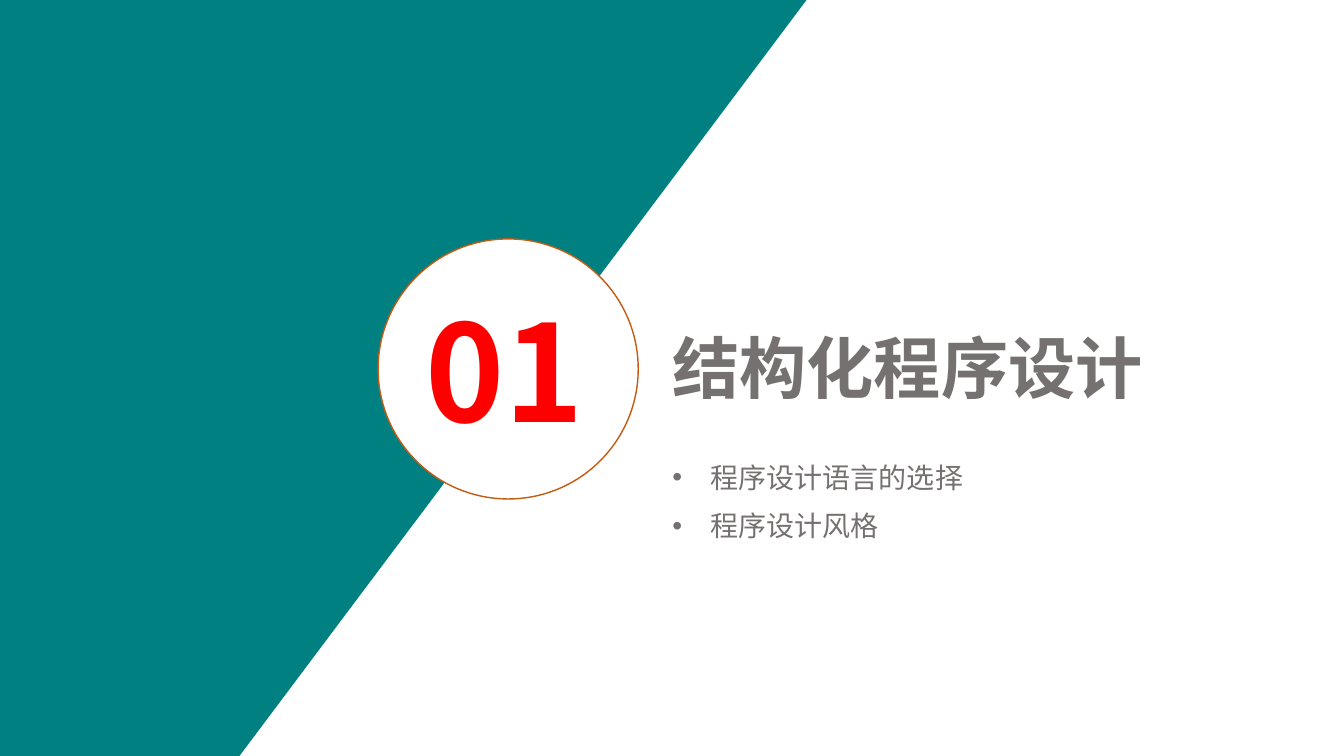
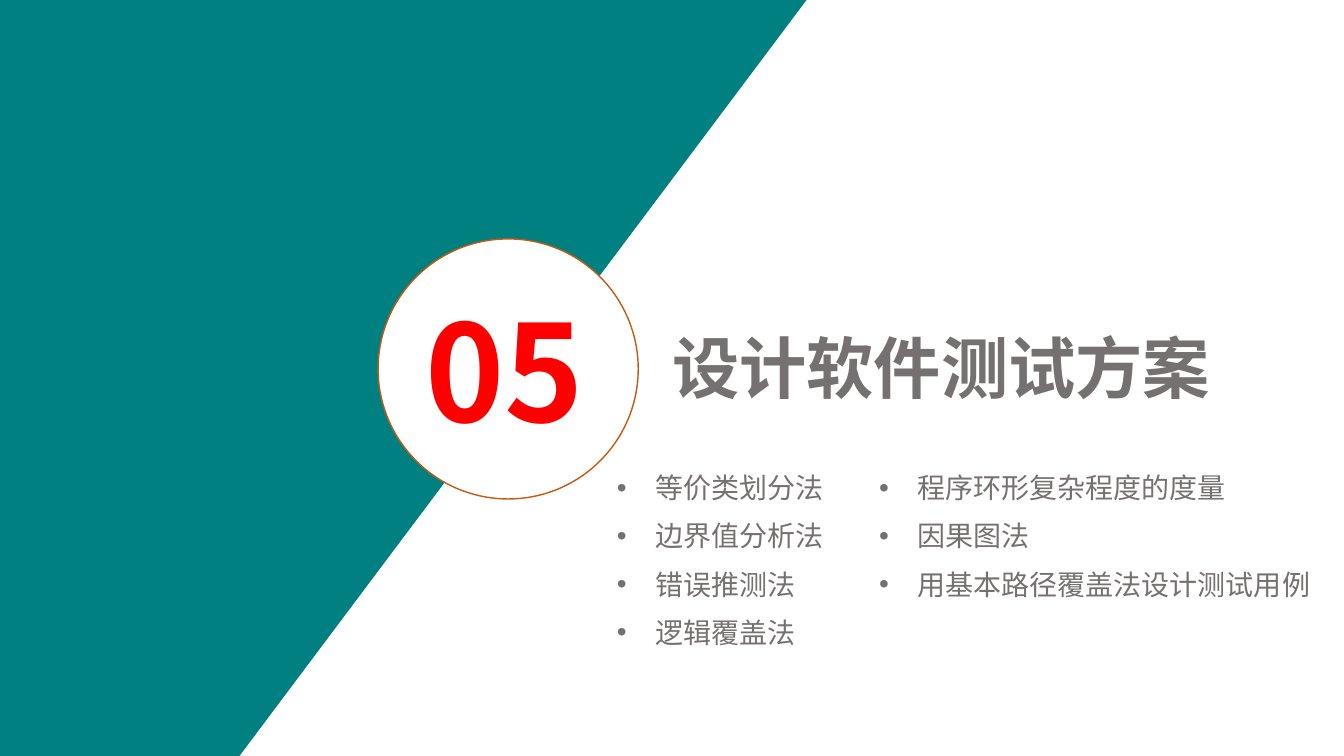
import pptx
import pptx.dml.color
import pptx.enum.shapes
import pptx.enum.text
import pptx.oxml.ns
import pptx.util
from dataclasses import dataclass
from lxml import etree

Inches = pptx.util.Inches
Pt = pptx.util.Pt


@dataclass(frozen=True)
class Theme:
    teal: str = "008080"
    white: str = "FFFFFF"
    rust: str = "C55A11"
    red: str = "FF0000"
    gray: str = "767171"
    font: str = "Noto Sans CJK SC"
    huge: int = 96
    head: int = 48
    body: int = 20
    gap: float = 10.5
    indent: float = 0.38


def color(code):
    return pptx.dml.color.RGBColor.from_string(code)


class Deck:
    def __init__(self, theme):
        self.theme = theme
        self.file = pptx.Presentation()
        self.file.slide_width = Inches(13.33)
        self.file.slide_height = Inches(7.5)
        self.slide = None

    # Slide with the slanted teal band
    def page(self):
        self.slide = self.file.slides.add_slide(self.file.slide_layouts[6])
        form = self.slide.shapes.build_freeform(0, 0, scale=Inches(1))
        form.add_line_segments([(7.93, 0), (2.38, 7.5), (0, 7.5)], close=True)
        self.paint(form.convert_to_shape(), self.theme.teal)

    def paint(self, shape, fill, line=None):
        shape.shadow.inherit = False
        shape.fill.solid()
        shape.fill.fore_color.rgb = color(fill)
        if line:
            shape.line.color.rgb = color(line)
            shape.line.width = Pt(1)
        else:
            shape.line.fill.background()

    # Text box with one paragraph per line
    def text(self, lines, box, size, ink, bold=False, bullet=False):
        frame = self.slide.shapes.add_textbox(*map(Inches, box)).text_frame
        frame.word_wrap = True
        frame.auto_size = pptx.enum.text.MSO_AUTO_SIZE.SHAPE_TO_FIT_TEXT
        style = {"name": self.theme.font, "size": Pt(size), "bold": bold}
        for row, line in enumerate(lines):
            para = frame.add_paragraph() if row else frame.paragraphs[0]
            if row:
                para.space_before = Pt(self.theme.gap)
            if bullet:
                self.mark(para)
            run = para.add_run()
            run.text = line
            for key, value in style.items():
                setattr(run.font, key, value)
            run.font.color.rgb = color(ink)
            latin = run.font._element.find(pptx.oxml.ns.qn("a:latin"))
            east = etree.Element(pptx.oxml.ns.qn("a:ea"), typeface=self.theme.font)
            latin.addnext(east)

    # Hanging bullet
    def mark(self, para):
        props = para._p.get_or_add_pPr()
        indent = Inches(self.theme.indent)
        props.set("marL", str(indent))
        props.set("indent", str(-indent))
        for tag, key, value in (("a:buFont", "typeface", "Arial"),
                                ("a:buChar", "char", "•")):
            etree.SubElement(props, pptx.oxml.ns.qn(tag)).set(key, value)

    # Number in its circle
    def badge(self, number):
        oval = self.slide.shapes.add_shape(
            pptx.enum.shapes.MSO_SHAPE.OVAL,
            *map(Inches, (3.75, 2.37, 2.58, 2.58)))
        self.paint(oval, self.theme.white, self.theme.rust)
        self.text([number], (4.12, 2.81, 1.9, 1.81),
                  self.theme.huge, self.theme.red, bold=True)

    def title(self, words):
        self.text([words], (6.57, 3.19, 5.62, 0.96),
                  self.theme.head, self.theme.gray, bold=True)

    def list(self, items, left, top, width):
        self.text(items, (left, top, width, 0.55 * len(items)),
                  self.theme.body, self.theme.gray, bullet=True)


# Number, title, then lists as (left, top, width, items)
PARTS = [
    ("01", "结构化程序设计", [
        (6.57, 4.52, 4.06, ["程序设计语言的选择", "程序设计风格"]),
    ]),
    ("05", "设计软件测试方案", [
        (6.02, 4.62, 2.6, ["等价类划分法", "边界值分析法",
                           "错误推测法", "逻辑覆盖法"]),
        (8.62, 4.62, 4.58, ["程序环形复杂程度的度量", "因果图法",
                            "用基本路径覆盖法设计测试用例"]),
    ]),
]


def main():
    deck = Deck(Theme())
    for number, title, lists in PARTS:
        deck.page()
        deck.badge(number)
        deck.title(title)
        for left, top, width, items in lists:
            deck.list(items, left, top, width)
    deck.file.save("out.pptx")


if __name__ == "__main__":
    main()
